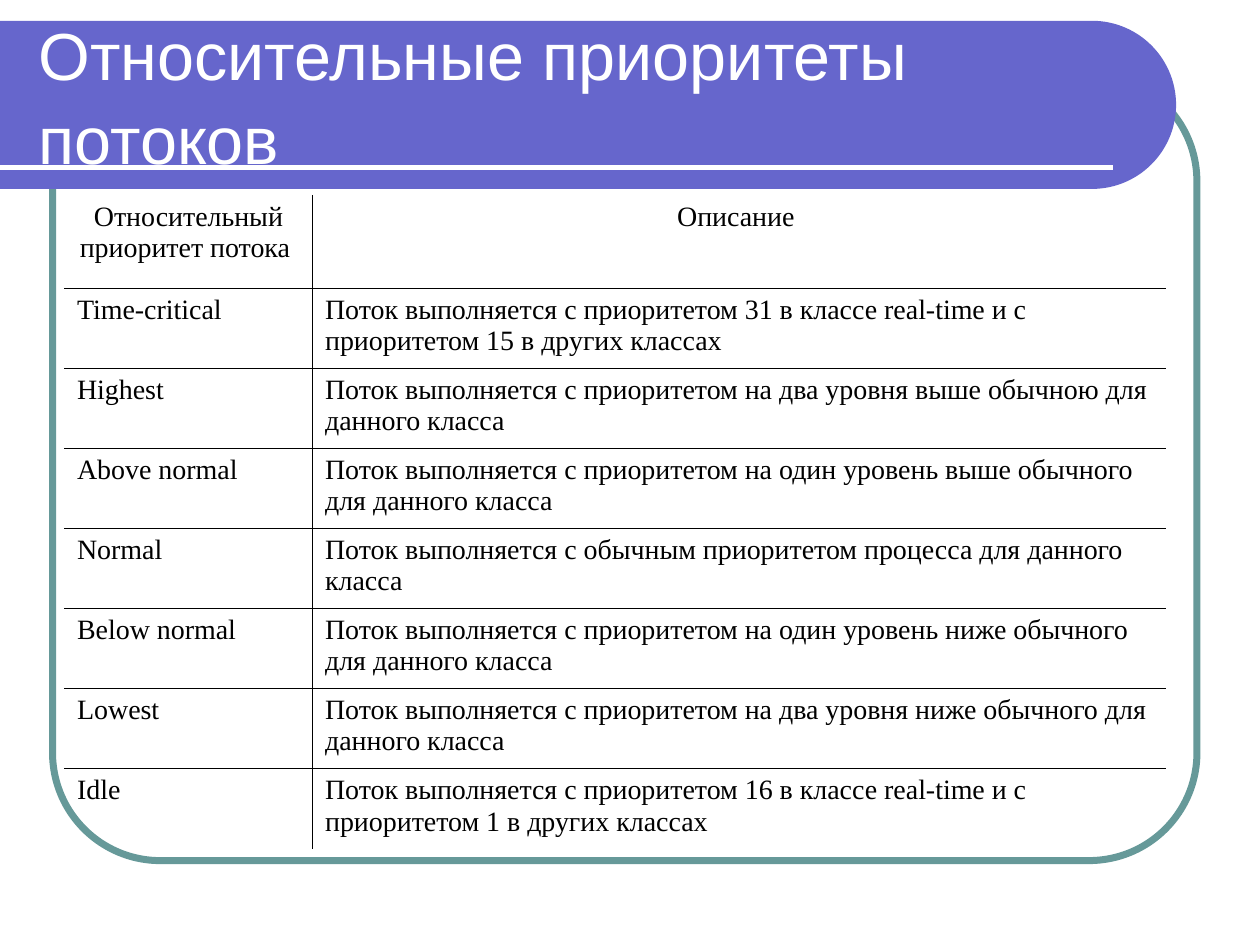
from math import cos, pi, sin

from lxml.etree import SubElement
from pptx import Presentation
from pptx.dml.color import RGBColor
from pptx.enum.shapes import MSO_CONNECTOR, MSO_SHAPE
from pptx.enum.text import MSO_ANCHOR as Anchor, PP_ALIGN as Align
from pptx.oxml.ns import qn
from pptx.util import Cm, Pt

COLORS = {"frame": "669999", "band": "6666CC", "title": "FFFFFF", "text": "000000"}
TITLE = "Относительные приоритеты потоков"
HEADER = ("Относительный приоритет потока ", "Описание ")
FLOW = "Поток выполняется с "
PRIORITIES = [
    ("Time-critical", "приоритетом 31 в классе real-time и с приоритетом 15 в других классах"),
    ("Highest", "приоритетом на два уровня выше обычною для данного класса"),
    ("Above normal", "приоритетом на один уровень выше обычного для данного класса"),
    ("Normal", "обычным приоритетом процесса для данного класса"),
    ("Below normal", "приоритетом на один уровень ниже обычного для данного класса"),
    ("Lowest", "приоритетом на два уровня ниже обычного для данного класса"),
    ("Idle", "приоритетом 16 в классе real-time и с приоритетом 1 в других классах"),
]
ARC_STEPS = 60


def rgb(name):
    return RGBColor.from_string(COLORS[name])


def style_font(paragraph, color, **values):
    for key, value in values.items():
        setattr(paragraph.font, key, value)
    paragraph.font.color.rgb = rgb(color)


def add_frame(slide, left, top, width, height):
    frame = slide.shapes.add_shape(MSO_SHAPE.ROUNDED_RECTANGLE, left, top, width, height)
    frame.adjustments[0] = 0.137
    frame.shadow.inherit = False
    frame.fill.background()
    frame.line.color.rgb = rgb("frame")
    frame.line.width = Pt(4)


def add_title_band(slide, left, top, width, height):
    """Draw the band with a half-round right end, its underline and the title."""
    radius = height / 2
    center_x, center_y = left + width - radius, top + radius
    angles = [pi * (step / ARC_STEPS - 0.5) for step in range(ARC_STEPS + 1)]
    outline = slide.shapes.build_freeform(left, top)
    outline.add_line_segments(
        [(center_x + radius * cos(a), center_y + radius * sin(a)) for a in angles]
        + [(left, top + height)])
    band = outline.convert_to_shape()
    band.shadow.inherit = False
    band.fill.solid()
    band.fill.fore_color.rgb = rgb("band")
    band.line.fill.background()

    line_y = top + Cm(2.96)
    underline = slide.shapes.add_connector(
        MSO_CONNECTOR.STRAIGHT, left, line_y, left + width - Cm(1.27), line_y)
    underline.line.color.rgb = rgb("title")
    underline.line.width = Pt(3)
    SubElement(underline._element.spPr, qn("a:effectLst"))

    title = slide.shapes.add_textbox(
        left + Cm(0.53), top + Cm(0.21), width - Cm(1.42), Cm(2.54)).text_frame
    title.word_wrap = True
    title.vertical_anchor = Anchor.MIDDLE
    title.text = TITLE
    paragraph = title.paragraphs[0]
    paragraph.line_spacing = 1.05
    style_font(paragraph, "title", name="Arial", size=Pt(38))


def set_borders(cell, visible):
    """Draw the sides named in visible and clear the others."""
    properties = cell._tc.get_or_add_tcPr()
    for position, side in enumerate("LRTB"):
        border = properties.makeelement(qn(f"a:ln{side}"), {"w": str(Pt(0.45))})
        properties.insert(position, border)
        if side in visible:
            fill = SubElement(border, qn("a:solidFill"))
            SubElement(fill, qn("a:srgbClr"), val=COLORS["text"])
        else:
            SubElement(border, qn("a:noFill"))


def add_priority_table(slide, left, top, width, height):
    rows = [HEADER] + [(name, FLOW + rest) for name, rest in PRIORITIES]
    header_height, name_width = Cm(1.88), Cm(5)
    table = slide.shapes.add_table(len(rows), 2, left, top, width, height).table
    table.first_row = table.horz_banding = False
    table.columns[0].width = name_width
    table.columns[1].width = width - name_width
    last = len(rows) - 1
    for r, texts in enumerate(rows):
        table.rows[r].height = header_height if r == 0 else (height - header_height) // last
        for c, text in enumerate(texts):
            cell = table.cell(r, c)
            cell.text = text
            cell.fill.background()
            paragraph = cell.text_frame.paragraphs[0]
            paragraph.alignment = Align.CENTER if r == 0 else Align.LEFT
            style_font(paragraph, "text", name="Times New Roman", size=Pt(16))
            inner = ("R" if c == 0 else "L") + ("T" if r > 0 else "")
            set_borders(cell, inner + ("B" if r < last else ""))


def main():
    deck = Presentation()
    deck.slide_width, deck.slide_height = Cm(25.4), Cm(19.05)
    slide = deck.slides.add_slide(deck.slide_layouts[6])
    add_frame(slide, Cm(1.06), Cm(1.48), Cm(23.07), Cm(15.87))
    add_title_band(slide, Cm(0), Cm(0.42), Cm(23.71), Cm(3.39))
    add_priority_table(slide, Cm(1.3), Cm(3.93), Cm(22.21), Cm(13.18))
    deck.save("out.pptx")


if __name__ == "__main__":
    main()
